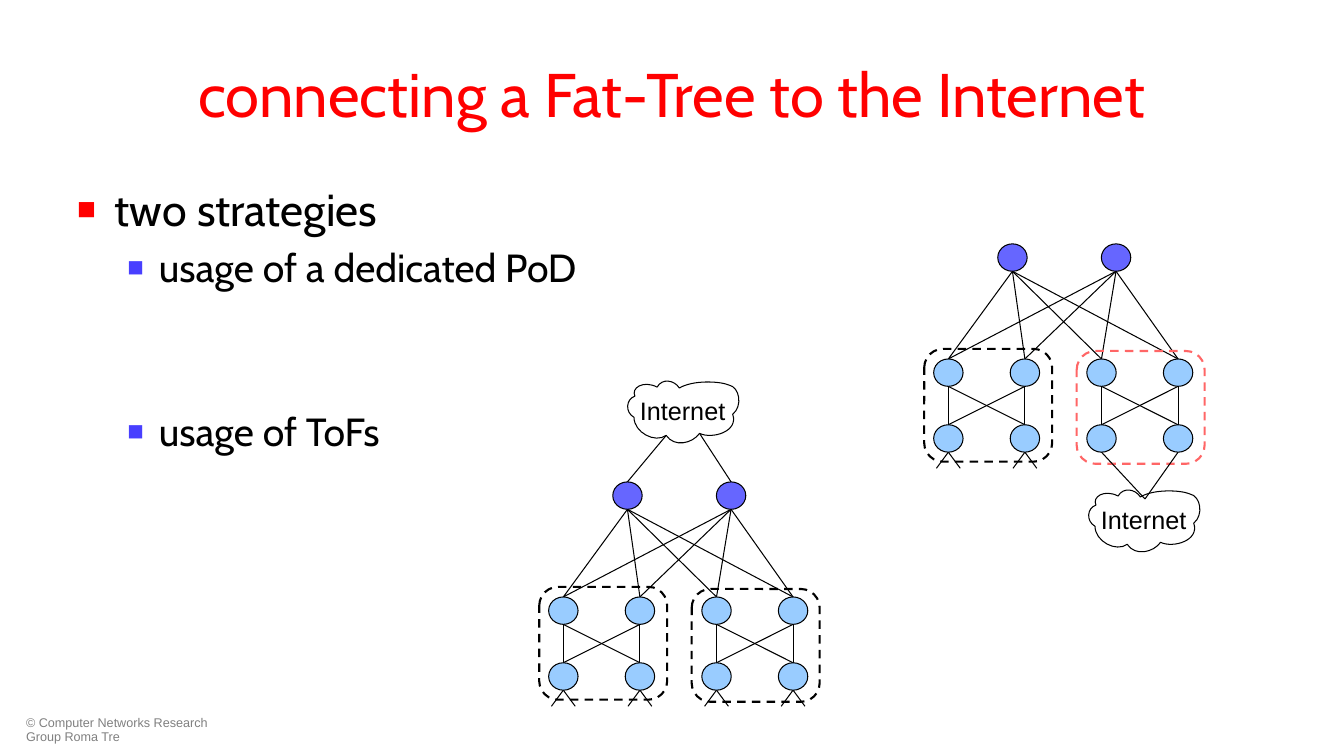
from itertools import product
from lxml import etree
from pptx import Presentation
from pptx.dml.color import RGBColor
from pptx.enum.dml import MSO_LINE
from pptx.enum.shapes import MSO_CONNECTOR, MSO_SHAPE
from pptx.enum.text import MSO_ANCHOR, PP_ALIGN
from pptx.oxml.ns import qn
from pptx.util import Pt

OVAL, ROUND = MSO_SHAPE.OVAL, MSO_SHAPE.ROUNDED_RECTANGLE
LINE, DASH = MSO_CONNECTOR.STRAIGHT, MSO_LINE.DASH
MIDDLE, CENTER = MSO_ANCHOR.MIDDLE, PP_ALIGN.CENTER

BLACK, RED, BLUE = "000000", "FF0000", "483FFF"
SPINE, LEAF, ROSE = "6666FF", "99CCFF", "FF6666"

TITLE = "connecting a Fat-Tree to the Internet"
FOOTER = "© Computer Networks Research Group Roma Tre"
# text, size, space before, left margin, hanging indent, bullet colour
BULLETS = [
    ("two strategies", 32, 0, 27, 27, RED),
    ("usage of a dedicated PoD", 28, 5.6, 58.5, 22.5, BLUE),
    ("usage of ToFs", 28, 83.7, 58.5, 22.5, BLUE),
]

# Tree geometry, relative to the tree's top left corner
NODE_W, NODE_H = 21, 19.6
SPINES = (63, 137)
LEAVES = [17.2 + 54.7 * i for i in range(4)]
TOP_ROW, LOW_ROW = 82.2, 129.2
PODS = ((0, 75), (108.9, 76.5))
POD_W, POD_H = 91.4, 80.6

# origin, leaves with stubs, pod colours, cloud origin,
# uplinks as (x and y in the tree, x and y in the cloud)
TREES = [
    ((385.2, 344.2), LEAVES, (BLACK, BLACK), (446, 270),
     [(SPINES[0], 0, 29.9, 41), (SPINES[1], 0, 53.7, 39.6)]),
    ((660.2, 174.2), LEAVES[:2], (BLACK, ROSE), (775.3, 347.8),
     [(x, LOW_ROW + NODE_H, 42.6, 8.6) for x in LEAVES[2:]]),
]

# Cloud outline: a start point, then three points for each curve
CLOUD = [
    (6.9, 28.1),
    (6.9, 38.9), (22, 46.8), (29.9, 41),
    (35.7, 49.7), (48.6, 46.8), (53.7, 39.6),
    (63, 43.9), (81.8, 38.2), (77.4, 25.9),
    (84.6, 20.2), (82.5, 6.5), (74.6, 5),
    (68.1, 2.2), (48.6, 1.4), (39.3, 7.2),
    (35.7, 1.4), (27, 0), (23.4, 6.5),
    (13.4, 1.4), (4.7, 7.2), (7.6, 13),
    (1.1, 15.1), (0.4, 24.5), (6.9, 28.1),
]

prs = Presentation()
prs.slide_width, prs.slide_height = Pt(960), Pt(540)
slide = prs.slides.add_slide(prs.slide_layouts[6])
shapes = slide.shapes


def color(code):
    return RGBColor.from_string(code)


def style(shape, fill, line=BLACK, width=0.75):
    shape.shadow.inherit = False
    if fill:
        shape.fill.solid()
        shape.fill.fore_color.rgb = color(fill)
    else:
        shape.fill.background()
    shape.line.color.rgb = color(line)
    shape.line.width = Pt(width)


def font(para, name, size, code):
    for run in para.runs:
        run.font.name, run.font.size = name, Pt(size)
        run.font.color.rgb = color(code)


def text(x, y, w, h, words, name, size, code, wrap=True):
    frame = shapes.add_textbox(Pt(x), Pt(y), Pt(w), Pt(h)).text_frame
    frame.word_wrap = wrap
    frame.text = words
    for para in frame.paragraphs:
        font(para, name, size, code)
    return frame


def bullet(para, left, hang, code):
    props = para._p.get_or_add_pPr()
    props.set("marL", str(Pt(left)))
    props.set("indent", str(-Pt(hang)))
    tint = etree.SubElement(props, qn("a:buClr"))
    etree.SubElement(tint, qn("a:srgbClr"), val=code)
    etree.SubElement(props, qn("a:buSzPct"), val="70000")
    etree.SubElement(props, qn("a:buFont"), typeface="Arial")
    etree.SubElement(props, qn("a:buChar"), char="■")


def line(x1, y1, x2, y2):
    link = shapes.add_connector(LINE, Pt(x1), Pt(y1), Pt(x2), Pt(y2))
    link.line.color.rgb = color(BLACK)
    link.line.width = Pt(0.75)
    etree.SubElement(link._element.spPr, qn("a:effectLst"))


def node(x, y, fill):
    """Draw a node from its centre x and its top y."""
    oval = shapes.add_shape(OVAL, Pt(x - NODE_W / 2), Pt(y), Pt(NODE_W), Pt(NODE_H))
    style(oval, fill)


def cloud(x, y):
    pts = [(Pt(x + dx), Pt(y + dy)) for dx, dy in CLOUD]
    pen = shapes.build_freeform(*pts[0])
    pen.add_line_segments(pts[1:], close=True)
    shape = pen.convert_to_shape()
    steps = list(shape._element.iter(qn("a:lnTo")))
    for i in range(0, len(steps), 3):
        curve = etree.Element(qn("a:cubicBezTo"))
        steps[i].addprevious(curve)
        for step in steps[i:i + 3]:
            curve.append(step[0])
            step.getparent().remove(step)
    style(shape, "FFFFFF")
    text(x + 4, y + 8.6, 76.3, 28.8, "Internet", "Arial", 18, BLACK, False)


def tree(origin, open_leaves, pod_colors, cloud_at, uplinks):
    left, top = origin
    high, low = top + TOP_ROW, top + LOW_ROW
    foot = low + NODE_H
    for a, b in product(SPINES, LEAVES):
        line(left + a, top + NODE_H, left + b, high)
    for pair in (LEAVES[:2], LEAVES[2:]):
        for a, b in product(pair, pair):
            line(left + a, low, left + b, high + NODE_H)
    for x, dx in product(open_leaves, (-8.5, 8.5)):
        line(left + x, foot, left + x + dx, foot + 11.5)
    for x in SPINES:
        node(left + x, top, SPINE)
    for x, y in product(LEAVES, (high, low)):
        node(left + x, y, LEAF)
    cloud(*cloud_at)
    for (x, y), code in zip(PODS, pod_colors):
        pod = shapes.add_shape(ROUND, Pt(left + x), Pt(top + y), Pt(POD_W), Pt(POD_H))
        style(pod, None, code, 1.5)
        pod.line.dash_style = DASH
    for x, y, cx, cy in uplinks:
        line(left + x, top + y, cloud_at[0] + cx, cloud_at[1] + cy)


foot_text = text(11.5, 508.3, 166.3, 25.9, FOOTER, "Arial", 9, "808080")
foot_text.paragraphs[0].line_spacing = 0.9

head = text(48, 21.6, 864, 90, TITLE, "Cabin", 44, RED)
head.vertical_anchor = MIDDLE
head.paragraphs[0].alignment = CENTER

words = "\n".join(item[0] for item in BULLETS)
body = text(48, 126, 864, 356.4, words, "Cabin", 28, BLACK)
for para, (_, size, gap, left, hang, code) in zip(body.paragraphs, BULLETS):
    bullet(para, left, hang, code)
    para.level = int(size < 32)
    if gap:
        para.space_before = Pt(gap)
    font(para, "Cabin", size, BLACK)

for item in TREES:
    tree(*item)

prs.save("out.pptx")
